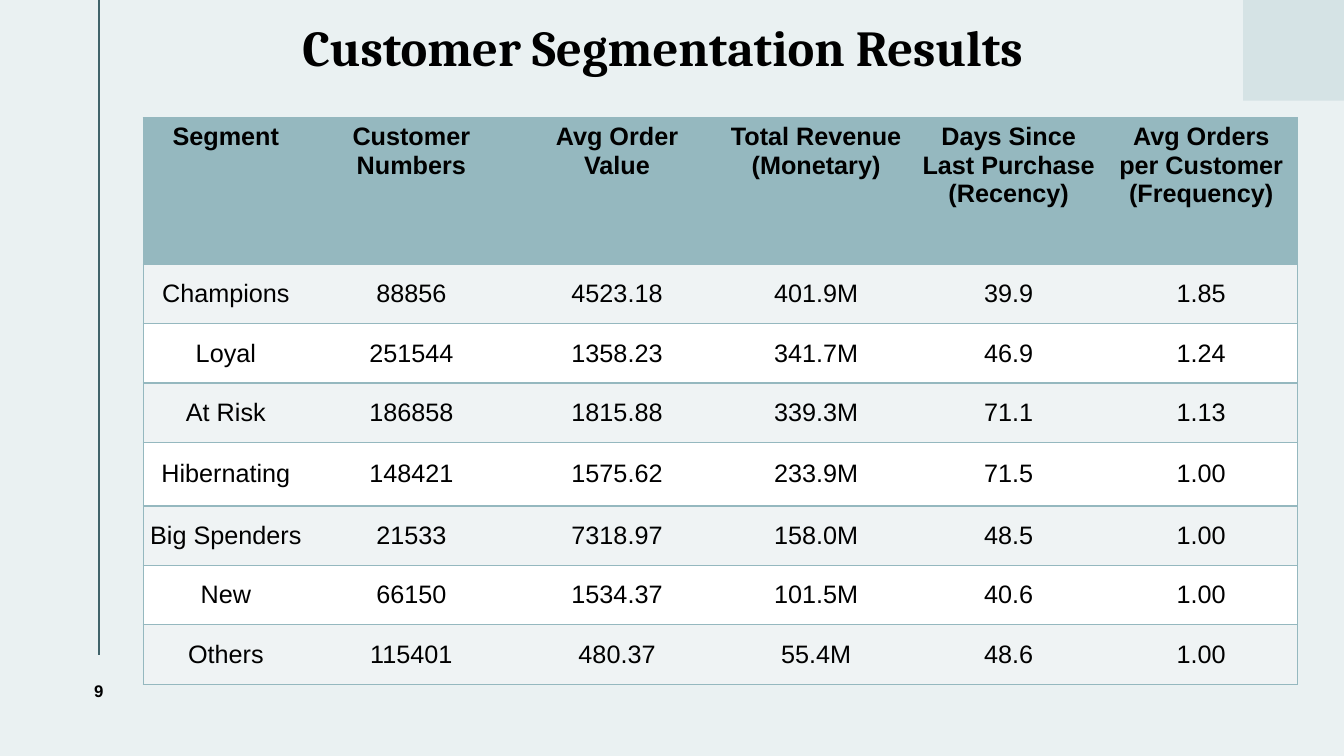
from dataclasses import dataclass

from lxml import etree
from pptx import Presentation
from pptx.dml.color import RGBColor
from pptx.enum import shapes, text
from pptx.oxml import ns
from pptx.util import Inches, Pt


@dataclass(frozen=True)
class Theme:
    background: str = "EAF1F2"
    corner: str = "D5E3E5"
    rule: str = "40636A"
    accent: str = "95B8BF"
    band: str = "EFF3F4"
    plain: str = "FFFFFF"
    ink: str = "000000"
    heading_font: str = "Cambria"
    body_font: str = "Arial"
    title_size: int = 36
    table_size: int = 18
    number_size: int = 12


THEME = Theme()
HEADERS = ["Segment", "Customer Numbers", "Avg Order Value", "Total Revenue (Monetary)",
           "Days Since Last Purchase (Recency)", "Avg Orders per Customer (Frequency)"]
SEGMENTS = [
    ["Champions", "88856", "4523.18", "401.9M", "39.9", "1.85"],
    ["Loyal", "251544", "1358.23", "341.7M", "46.9", "1.24"],
    ["At Risk", "186858", "1815.88", "339.3M", "71.1", "1.13"],
    ["Hibernating", "148421", "1575.62", "233.9M", "71.5", "1.00"],
    ["Big Spenders", "21533", "7318.97", "158.0M", "48.5", "1.00"],
    ["New", "66150", "1534.37", "101.5M", "40.6", "1.00"],
    ["Others", "115401", "480.37", "55.4M", "48.6", "1.00"],
]
COLUMN_WIDTHS = [1.64] + [2.04] * 2 + [1.91] * 3
ROW_HEIGHTS = [1.45] + [0.59] * 3 + [0.63] + [0.59] * 3


def color(value):
    return RGBColor.from_string(value)


def write(frame, words, size, font=THEME.body_font, bold=False,
          align=text.PP_ALIGN.CENTER, line_spacing=None, space_after=None):
    para = frame.paragraphs[0]
    para.alignment = align
    para.line_spacing = line_spacing
    para.space_after = space_after
    span = para.add_run()
    span.text = words
    span.font.name = font
    span.font.size = Pt(size)
    span.font.bold = bold
    span.font.color.rgb = color(THEME.ink)
    return span


def set_margins(holder, left, top, right, bottom):
    holder.margin_left, holder.margin_top = Inches(left), Inches(top)
    holder.margin_right, holder.margin_bottom = Inches(right), Inches(bottom)


def set_borders(cell, sides):
    """Draw the sides given by letter (L, R, T, B) and clear the others."""
    props = cell._tc.get_or_add_tcPr()
    for side in "LRTB":
        line = etree.SubElement(props, ns.qn(f"a:ln{side}"), w=str(Pt(1)))
        if side in sides:
            fill = etree.SubElement(line, ns.qn("a:solidFill"))
            etree.SubElement(fill, ns.qn("a:srgbClr"), val=THEME.accent)
        else:
            etree.SubElement(line, ns.qn("a:noFill"))


def add_decoration(page, slide_width):
    rule = page.shapes.add_connector(shapes.MSO_CONNECTOR.STRAIGHT, Inches(0.98), 0,
                                     Inches(0.98), Inches(6.5))
    rule.line.color.rgb = color(THEME.rule)
    rule.line.width = Pt(1.5)
    etree.SubElement(rule._element.spPr, ns.qn("a:effectLst"))

    side = Inches(1)
    corner = page.shapes.add_shape(shapes.MSO_SHAPE.RECTANGLE, slide_width - side, 0, side, side)
    corner.shadow.inherit = False
    corner.fill.solid()
    corner.fill.fore_color.rgb = color(THEME.corner)
    corner.line.fill.background()


def add_title(page, words, left, top, width, height):
    title = page.shapes.title
    title.left, title.top = Inches(left), Inches(top)
    title.width, title.height = Inches(width), Inches(height)
    frame = title.text_frame
    frame.word_wrap = True
    frame.auto_size = text.MSO_AUTO_SIZE.NONE
    frame.vertical_anchor = text.MSO_ANCHOR.MIDDLE
    set_margins(frame, 0, 0.05, 0.1, 0.05)
    write(frame, words, THEME.title_size, font=THEME.heading_font, bold=True,
          align=text.PP_ALIGN.LEFT, line_spacing=0.9)


def add_page_number(page, number, left, top, width, height):
    box = page.shapes.add_textbox(Inches(left), Inches(top), Inches(width), Inches(height))
    frame = box.text_frame
    frame.word_wrap = True
    frame.vertical_anchor = text.MSO_ANCHOR.MIDDLE
    span = write(frame, number, THEME.number_size, bold=True, space_after=Pt(6))
    span.font._element.set("spc", "150")


def add_segment_table(page, left, top):
    rows = [HEADERS] + SEGMENTS
    table = page.shapes.add_table(len(rows), len(HEADERS), Inches(left), Inches(top),
                                  Inches(sum(COLUMN_WIDTHS)), Inches(sum(ROW_HEIGHTS))).table
    for column, width in zip(table.columns, COLUMN_WIDTHS):
        column.width = Inches(width)
    for row, height in zip(table.rows, ROW_HEIGHTS):
        row.height = Inches(height)

    last = len(HEADERS) - 1
    for r, values in enumerate(rows):
        header = r == 0
        fill = THEME.accent if header else THEME.band if r % 2 else THEME.plain
        for c, value in enumerate(values):
            cell = table.cell(r, c)
            set_borders(cell, "TB" + ("L" if c == 0 else "") + ("R" if c == last else ""))
            cell.fill.solid()
            cell.fill.fore_color.rgb = color(fill)
            if header:
                set_margins(cell, 0.09, 0.05, 0.09, 0.05)
            else:
                set_margins(cell, 0.03, 0.02, 0.03, 0.02)
                cell.vertical_anchor = text.MSO_ANCHOR.MIDDLE
            write(cell.text_frame, value, THEME.table_size, bold=header)


def main():
    deck = Presentation()
    deck.slide_width, deck.slide_height = Inches(13.33), Inches(7.5)
    page = deck.slides.add_slide(deck.slide_layouts.get_by_name("Title Only"))
    page.background.fill.solid()
    page.background.fill.fore_color.rgb = color(THEME.background)
    add_decoration(page, deck.slide_width)
    add_page_number(page, "9", 0.45, 6.5, 1.06, 0.71)
    add_title(page, "Customer Segmentation Results", 3, 0.08, 8.08, 0.83)
    add_segment_table(page, 1.42, 1.17)
    deck.save("out.pptx")


if __name__ == "__main__":
    main()
